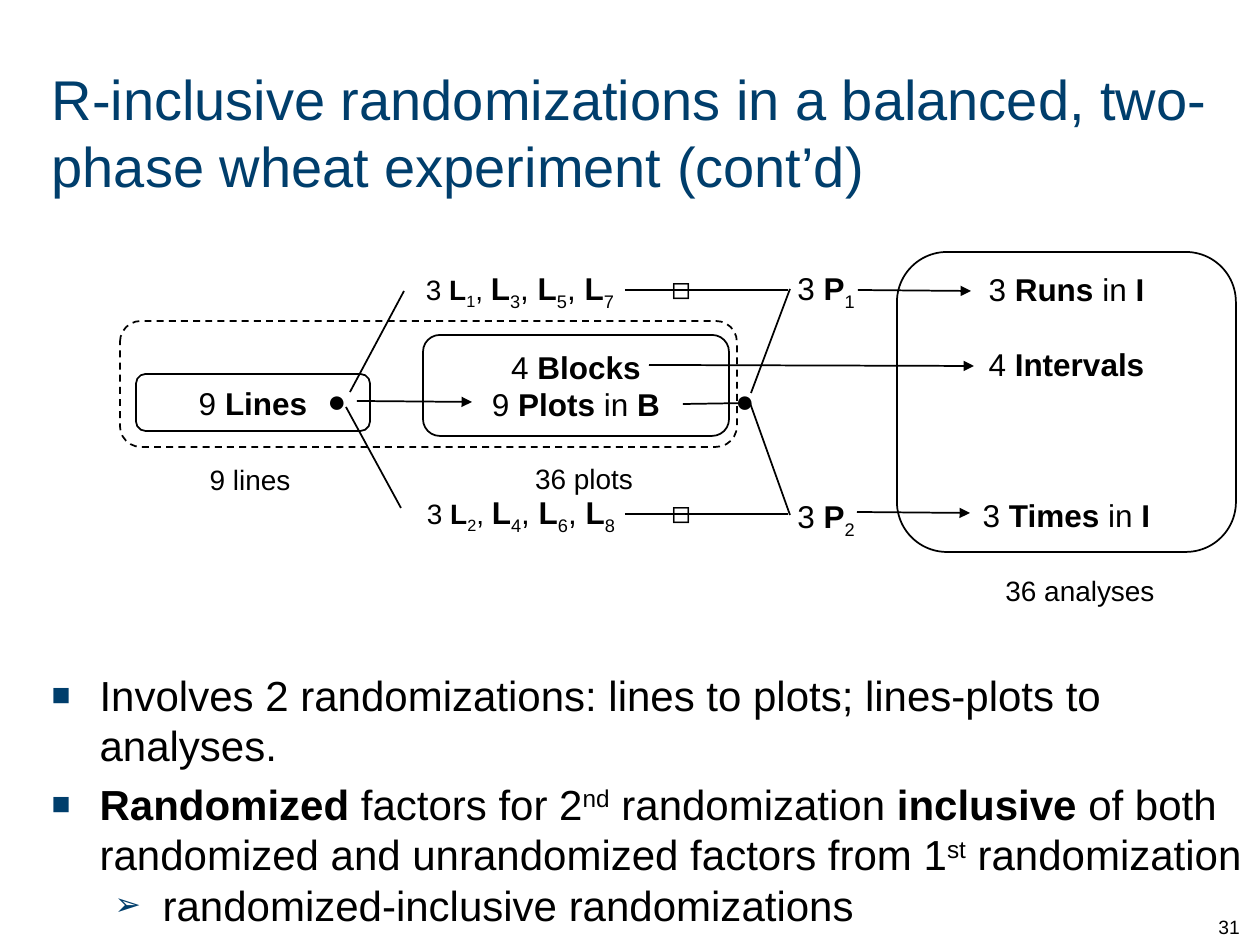
from lxml import etree
from pptx import Presentation
from pptx import util as u
from pptx.dml.color import RGBColor
from pptx.enum import dml, shapes, text
from pptx.oxml.ns import qn

EMU_PER_PX = 914400 / 126
BLACK = RGBColor(0x00, 0x00, 0x00)
NAVY = RGBColor(0x00, 0x3E, 0x6C)
BASELINES = {"sub": "-25000", "sup": "30000"}


def px(*lengths):
    return [u.Emu(round(length * EMU_PER_PX)) for length in lengths]


class SlideBuilder:
    """Holds the drawing style and the slide being filled."""

    font_name = "Arial"
    line_width = u.Pt(1)

    def __init__(self, slide):
        self.slide = slide

    def add_runs(self, paragraph, runs, size, color=BLACK):
        """Add (text, style) pairs; style is "", "b", "sub" or "sup"."""
        for words, style, *own_size in runs:
            run = paragraph.add_run()
            run.text = words
            run.font.name = self.font_name
            run.font.size = u.Pt(own_size[0] if own_size else size)
            run.font.bold = style == "b"
            run.font.color.rgb = color
            if style in BASELINES:
                run._r.get_or_add_rPr().set("baseline", BASELINES[style])

    def place(self, shape, box):
        shape.left, shape.top, shape.width, shape.height = px(*box)
        shape.text_frame.auto_size = text.MSO_AUTO_SIZE.NONE
        shape.text_frame.word_wrap = True

    def title(self, box, words, size):
        shape = self.slide.shapes.title
        self.place(shape, box)
        shape.text_frame.vertical_anchor = text.MSO_ANCHOR.MIDDLE
        paragraph = shape.text_frame.paragraphs[0]
        paragraph.alignment = text.PP_ALIGN.LEFT
        self.add_runs(paragraph, [(words, "")], size, NAVY)

    def bullets(self, box, items, size):
        """Fill the body with (level, bullet, space before, runs) items."""
        shape = self.slide.placeholders[1]
        self.place(shape, box)
        frame = shape.text_frame
        frame.vertical_anchor = text.MSO_ANCHOR.TOP
        for index, (level, bullet, gap, runs) in enumerate(items):
            paragraph = frame.add_paragraph() if index else frame.paragraphs[0]
            paragraph.level = level
            margin, hanging = px(48 + 63 * level, 48)
            properties = paragraph._p.get_or_add_pPr()
            properties.set("marL", str(margin))
            properties.set("indent", str(-hanging))
            bullet_color = etree.SubElement(properties, qn("a:buClr"))
            etree.SubElement(bullet_color, qn("a:srgbClr"), val=str(NAVY))
            etree.SubElement(properties, qn("a:buSzPct"), val="75000")
            etree.SubElement(properties, qn("a:buFont"), typeface=self.font_name)
            etree.SubElement(properties, qn("a:buChar"), char=bullet)
            paragraph.space_before = u.Pt(gap)
            self.add_runs(paragraph, runs, size)

    def label(self, box, runs, size=18, align=text.PP_ALIGN.LEFT,
              anchor=text.MSO_ANCHOR.TOP, wrap=True):
        frame = self.slide.shapes.add_textbox(*px(*box)).text_frame
        frame.word_wrap = wrap
        frame.vertical_anchor = anchor
        frame.paragraphs[0].alignment = align
        self.add_runs(frame.paragraphs[0], runs, size)

    def panel(self, box, lines=(), dashed=False):
        """Draw a rounded outline holding (space before, runs) lines."""
        shape = self.slide.shapes.add_shape(
            shapes.MSO_SHAPE.ROUNDED_RECTANGLE, *px(*box))
        shape.shadow.inherit = False
        shape.fill.background()
        shape.line.color.rgb = BLACK
        shape.line.width = self.line_width
        if dashed:
            shape.line.dash_style = dml.MSO_LINE.DASH
        frame = shape.text_frame
        frame.margin_left, frame.margin_right = px(1, 1)
        frame.margin_top, frame.margin_bottom = px(2, 2)
        frame.vertical_anchor = text.MSO_ANCHOR.MIDDLE
        for index, (gap, runs) in enumerate(lines):
            paragraph = frame.add_paragraph() if index else frame.paragraphs[0]
            paragraph.alignment = text.PP_ALIGN.CENTER
            if gap:
                paragraph.space_before = u.Pt(gap)
            self.add_runs(paragraph, runs, 18)

    def line(self, *ends, arrow=False):
        connector = self.slide.shapes.add_connector(
            shapes.MSO_CONNECTOR.STRAIGHT, *px(*ends))
        connector.line.color.rgb = BLACK
        connector.line.width = self.line_width
        if arrow:
            etree.SubElement(connector.line._get_or_add_ln(),
                             qn("a:tailEnd"), type="triangle")
        etree.SubElement(connector._element.spPr, qn("a:effectLst"))


def line_set(numbers):
    """Runs such as 3 L1, L3, L5, L7, with a smaller first entry."""
    first, *others = numbers
    runs = [("3 ", "", 16), ("L", "b", 16), (first, "sub", 16), (", ", "", 16)]
    for index, number in enumerate(others):
        if index:
            runs.append((", ", ""))
        runs += [("L", "b"), (number, "sub")]
    return runs


def main():
    presentation = Presentation()
    presentation.slide_width, presentation.slide_height = px(1260, 945)
    slide = presentation.slides.add_slide(presentation.slide_layouts[1])
    builder = SlideBuilder(slide)
    center = text.PP_ALIGN.CENTER

    builder.title((39, 40, 1221, 184),
                  "R-inclusive randomizations in a balanced, "
                  "two-phase wheat experiment (cont’d)", 32)
    builder.label((1206, 882, 53, 63), [("31", "")], 11,
                  anchor=text.MSO_ANCHOR.BOTTOM)
    builder.bullets((39, 663, 1221, 278), [
        (0, "■", 0, [("Involves 2 randomizations: lines to plots; "
                      "lines-plots to analyses.", "")]),
        (0, "■", 4.8, [("Randomized", "b"), (" factors for 2", ""),
                       ("nd", "sup"), (" randomization ", ""),
                       ("inclusive", "b"),
                       (" of both randomized and unrandomized "
                        "factors from 1", ""),
                       ("st", "sup"), (" randomization", "")]),
        (1, "➢", 0, [("randomized-inclusive randomizations", "")]),
    ], 24)

    # Tiers and their captions
    builder.panel((120, 321, 617, 126), dashed=True)
    builder.panel((897, 252, 339, 300), [
        (0, [("3 ", ""), ("Runs", "b"), (" in ", ""), ("I", "b")]),
        (21.6, [("4 ", ""), ("Intervals", "b")]),
        (64.8, [("3 ", ""), ("Times", "b"), (" in ", ""), ("I", "b")]),
    ])
    builder.panel((423, 335, 306, 101), [
        (0, [("4 ", ""), ("Blocks", "b")]),
        (0, [("9 ", ""), ("Plots", "b"), (" in ", ""), ("B", "b")]),
    ])
    builder.panel((136, 374, 234, 57), [(0, [("9 ", ""), ("Lines", "b")])])
    for left, top, caption in ((976, 567, "36 analyses"),
                               (480, 455, "36 plots"),
                               (146, 456, "9 lines")):
        builder.label((left, top, 208, 47), [(caption, "")], 16, center)

    # Arrows between tiers
    for ends in ((649, 365, 974, 366), (357, 401, 472, 402),
                 (858, 290, 971, 291), (857, 512, 970, 513)):
        builder.line(*ends, arrow=True)

    # Branches from lines and from plots
    for ends in ((350, 392, 404, 291), (346, 407, 401, 508),
                 (683, 404, 751, 403),
                 (751, 393, 790, 289), (750, 403, 790, 515)):
        builder.line(*ends)
    for left in (315, 723):
        builder.label((left, 375, 53, 50), [("●", "")], wrap=False)

    # Pseudofactor rows
    for top, left, factor_top, numbers, part in (
            (263, 407, 263, "1357", "1"), (487, 408, 491, "2468", "2")):
        builder.label((left, top, 226, 50), line_set(numbers), align=center)
        builder.line(625, top + 27, 788, top + 27)
        builder.label((659, top, 43, 50), [("◻", "")], wrap=False)
        builder.label((785, factor_top, 98, 50),
                      [("3 ", ""), ("P", "b"), (part, "sub")])

    presentation.save("out.pptx")


if __name__ == "__main__":
    main()
